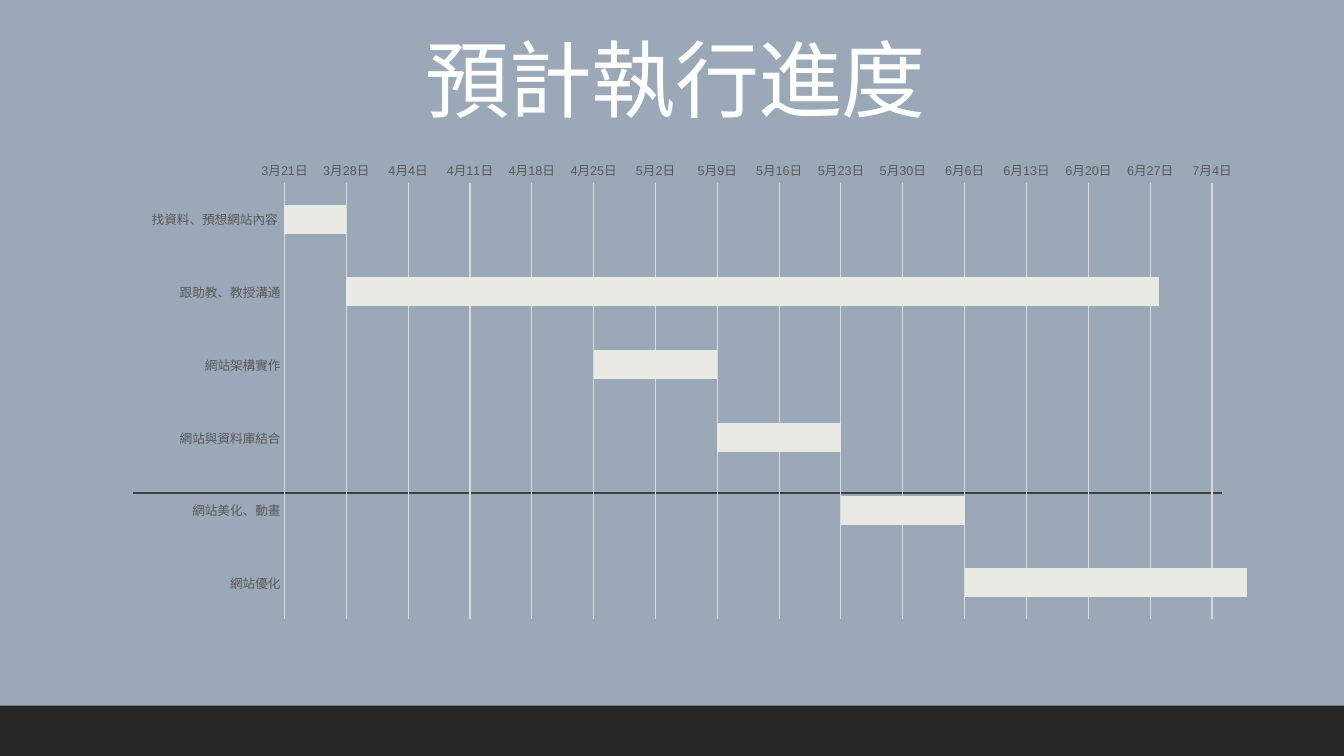
from lxml.etree import SubElement
from pptx import Presentation
from pptx.chart.data import CategoryChartData as Data
from pptx.dml.color import RGBColor
from pptx.enum.chart import XL_CHART_TYPE as Kind, XL_TICK_MARK as Tick
from pptx.enum.shapes import MSO_CONNECTOR as Link, MSO_SHAPE as Form
from pptx.enum.text import MSO_ANCHOR as Anchor, PP_ALIGN as Align
from pptx.oxml import parse_xml
from pptx.oxml.ns import nsdecls, qn
from pptx.util import Inches, Pt

TITLE = "預計執行進度"
TASKS = [
    ("找資料、預想網站內容 ", 44641, 7),
    ("跟助教、教授溝通", 44648, 92),
    ("網站架構實作", 44676, 14),
    ("網站與資料庫結合", 44690, 14),
    ("網站美化、動畫", 44704, 14),
    ("網站優化", 44718, 42),
]
SCALE = {"minimum_scale": 44641, "maximum_scale": 44750, "major_unit": 7}
PLOT = {"x": 0.14, "y": 0.07, "w": 0.84, "h": 0.91}
CJK = "Noto Sans CJK SC"
BACK = RGBColor(0x9B, 0xA8, 0xB7)
BAND = RGBColor(0x26, 0x26, 0x26)
RULE = RGBColor(0x40, 0x40, 0x40)
GRID = RGBColor(0xD9, 0xD9, 0xD9)
LABEL = RGBColor(0x59, 0x59, 0x59)
BAR = RGBColor(0xE9, 0xEA, 0xE4)
WHITE = RGBColor(0xFF, 0xFF, 0xFF)
BLACK = RGBColor(0, 0, 0)


def style(font, name, size, color):
    for key, val in {"name": name, "size": Pt(size)}.items():
        setattr(font, key, val)
    font.color.rgb = color


def draw(line, color, width):
    line.color.rgb = color
    line.width = Pt(width)


def place(*box):
    return [Inches(n) for n in box]


deck = Presentation()
deck.slide_width, deck.slide_height = place(13.33, 7.5)
slide = deck.slides.add_slide(deck.slide_layouts[6])
slide.background.fill.solid()
slide.background.fill.fore_color.rgb = BACK
shapes = slide.shapes

band = shapes.add_shape(Form.RECTANGLE, *place(0, 7, 13.33, 0.5))
band.shadow.inherit = False
band.fill.solid()
band.fill.fore_color.rgb = BAND
band.line.fill.background()

rule = shapes.add_connector(Link.STRAIGHT, *place(1.32, 4.89, 12.12, 4.89))
draw(rule.line, RULE, 1)
SubElement(rule._element.spPr, qn("a:effectLst"))

frame = shapes.add_textbox(*place(1.2, 0.17, 11, 1.33)).text_frame
frame.word_wrap = True
frame.vertical_anchor = Anchor.MIDDLE
para = frame.paragraphs[0]
para.alignment = Align.CENTER
para.line_spacing = 0.9
run = para.add_run()
run.text = TITLE
style(run.font, CJK, 60, WHITE)
props = run._r.get_or_add_rPr()
props.set("spc", "-50")
east = SubElement(props, qn("a:ea"))
east.set("typeface", CJK)

names, starts, days = zip(*TASKS)
data = Data()
data.categories = names
data.add_series("Series 1", starts)
data.add_series("Series 2", days)
chart = shapes.add_chart(Kind.BAR_STACKED, *place(1.23, 1.48, 11.37, 4.76), data).chart
chart.has_legend = False
chart.has_title = False
style(chart.font, "Arial", 10, BLACK)

bars = chart.plots[0]
for key, val in {"gap_width": 150, "overlap": 100, "vary_by_categories": False}.items():
    setattr(bars, key, val)
start, span = bars.series
start.format.fill.background()
start.format.line.fill.background()
span.format.fill.solid()
span.format.fill.fore_color.rgb = BAR

rows, dates = chart.category_axis, chart.value_axis
for axis in (rows, dates):
    axis.major_tick_mark = axis.minor_tick_mark = Tick.NONE
    style(axis.tick_labels.font, "Arial", 9, LABEL)
rows.reverse_order = True
draw(rows.format.line, GRID, 0.75)
for key, val in SCALE.items():
    setattr(dates, key, val)
dates.format.line.fill.background()
dates.has_major_gridlines = True
draw(dates.major_gridlines.format.line, GRID, 0.75)
dates.tick_labels.number_format = 'm"月"d"日"'
dates.tick_labels.number_format_is_linked = False

area = chart._chartSpace.find(".//" + qn("c:plotArea"))
for old in area.findall(qn("c:layout")):
    area.remove(old)
modes = '<c:layoutTarget val="inner"/><c:xMode val="edge"/><c:yMode val="edge"/>'
sizes = "".join(f'<c:{key} val="{val}"/>' for key, val in PLOT.items())
area.insert(0, parse_xml(
    f'<c:layout {nsdecls("c")}><c:manualLayout>{modes}{sizes}</c:manualLayout></c:layout>'))

deck.save("out.pptx")
